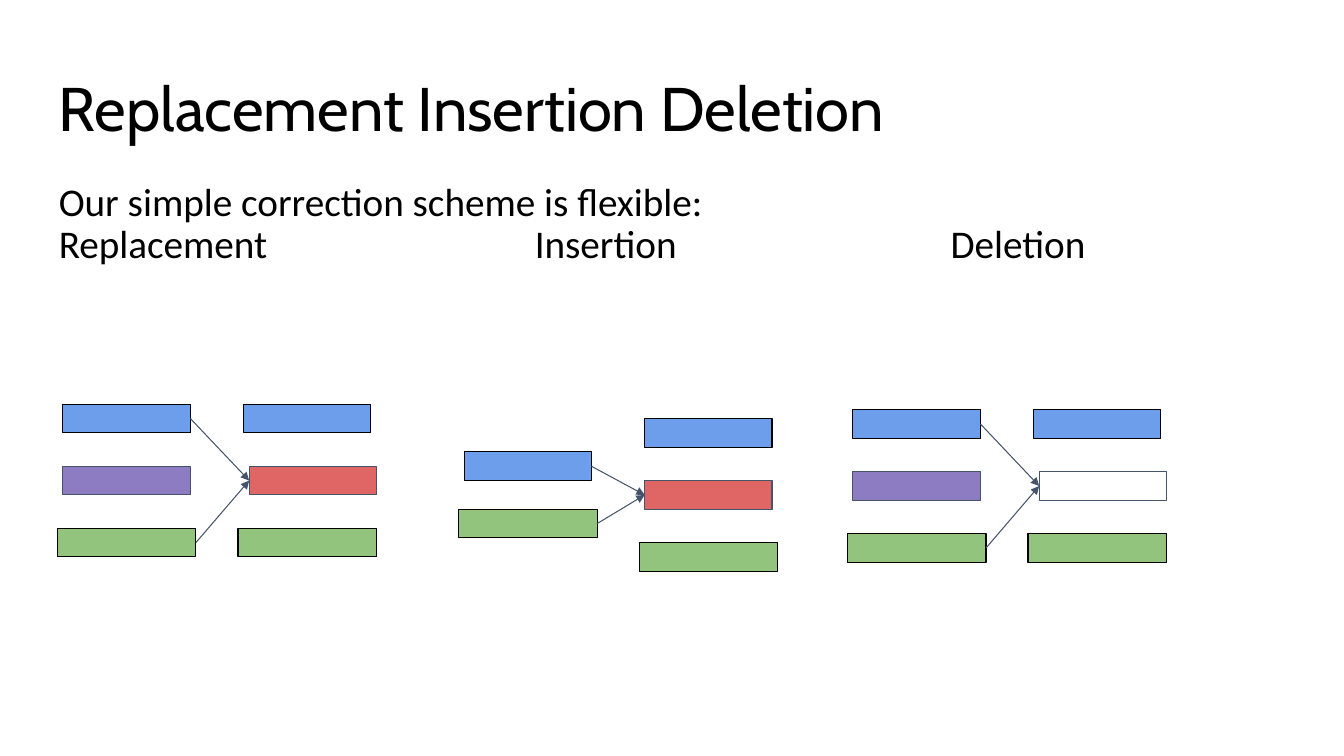
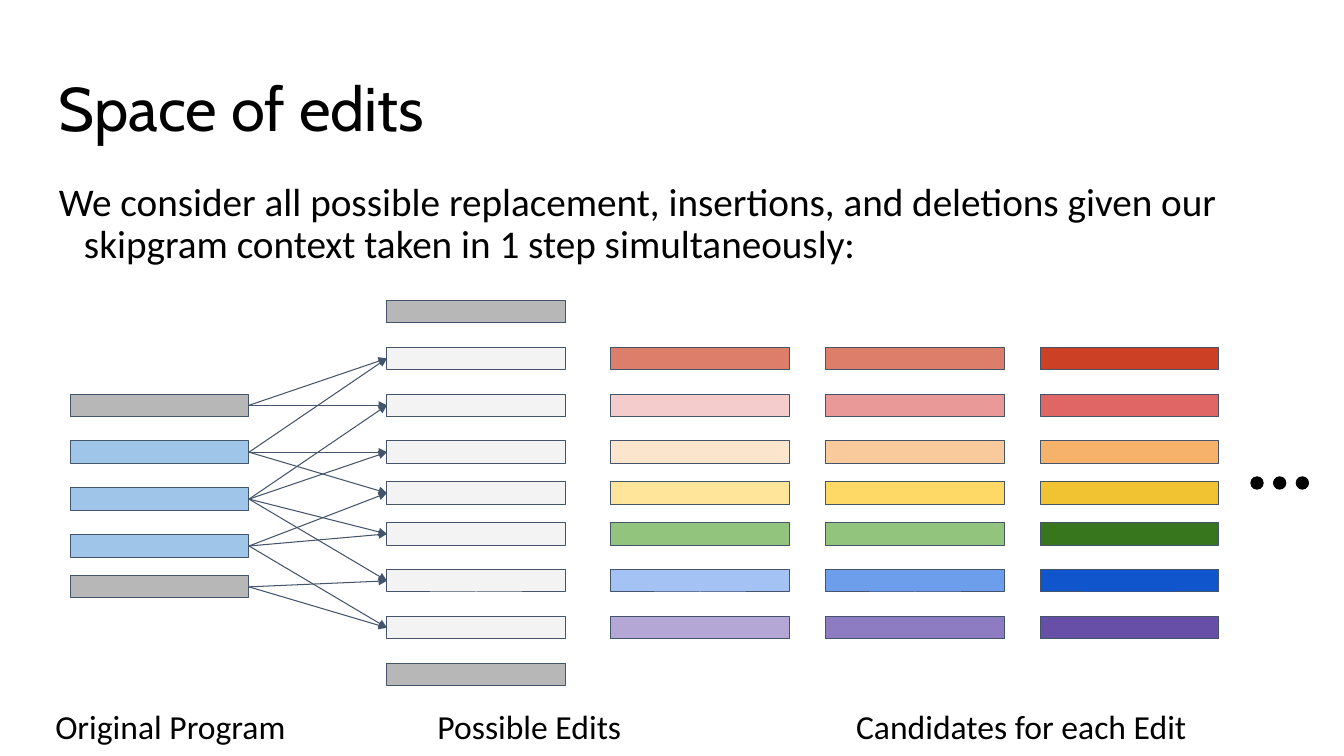
from itertools import accumulate

from lxml import etree
from pptx import Presentation
from pptx.dml.color import RGBColor
from pptx.enum.shapes import MSO_CONNECTOR, MSO_SHAPE
from pptx.enum.text import MSO_ANCHOR
from pptx.oxml.ns import qn
from pptx.util import Pt

RECTANGLE = MSO_SHAPE.RECTANGLE
OVAL = MSO_SHAPE.OVAL
STRAIGHT = MSO_CONNECTOR.STRAIGHT
TOP = MSO_ANCHOR.TOP
LEFT_SIDE, RIGHT_SIDE = 1, 3

BLACK, SLATE = "000000", "44546A"
BLUE, GREEN, RED, PURPLE = "6D9EEB", "93C47D", "E06666", "8E7CC3"
GRAY, PALE_GRAY, SKY = "B7B7B7", "F3F3F3", "9FC5E8"
TITLE_FONT, BODY_FONT = "Cabin", "Calibri"
MARGIN, CONTENT_WIDTH, INSET = 33, 894, 9
HANGING = 18

BLUE_BAR = (BLUE, BLACK, 4, 91)
GREEN_BAR = (GREEN, BLACK, 0, 99)
PURPLE_BAR = (PURPLE, SLATE, 4, 91)
RED_BAR = (RED, SLATE, 4, 91)
RED_BAR_RIGHT = (RED, SLATE, 8, 91)
EMPTY_BAR_RIGHT = (None, SLATE, 8, 91)
EDIT_BAR_HEIGHT, EDIT_BAR_PITCH = 20.5, 44.3
AFTER_OFFSET = 129

SPACE_BAR_WIDTH, SPACE_BAR_HEIGHT = 127.5, 16
WIDE_STEP, NARROW_STEP = 33.5, 29.2
EDIT_STEPS = [WIDE_STEP] * 3 + [NARROW_STEP] * 2 + [WIDE_STEP] * 3
PROGRAM_STEPS = [WIDE_STEP] * 3 + [NARROW_STEP]
EDITS_OFFSET, CANDIDATES_OFFSET, CANDIDATE_PITCH = 226, 386, 153.4
PROGRAM_COLORS = [GRAY, SKY, SKY, SKY, GRAY]
EDIT_COLORS = [GRAY] + [PALE_GRAY] * 7 + [GRAY]
CANDIDATE_COLORS = [
    ["DD7E6B", "F4CCCC", "FCE5CD", "FFE599", GREEN, "A4C2F4", "B4A7D6"],
    ["DD7E6B", "EA9999", "F9CB9C", "FFD966", GREEN, BLUE, PURPLE],
    ["CC4125", RED, "F6B26B", "F1C232", "38761D", "1155CC", "674EA7"],
]


def color(value):
    """Turn a hex string into a colour."""
    return RGBColor.from_string(value)


def add_text(slide, box, lines, font, size, spacing=1.0, hanging=0, tabs=()):
    """Place paragraphs in a box; lines holding tabs use the given stops."""
    shape = slide.shapes.add_textbox(*map(Pt, box))
    frame = shape.text_frame
    frame.word_wrap = True
    frame.vertical_anchor = TOP
    frame.margin_left = frame.margin_right = Pt(INSET)
    frame.margin_top = frame.margin_bottom = Pt(INSET)
    frame.text = "\n".join(lines)
    for paragraph in frame.paragraphs:
        paragraph.line_spacing = spacing
        properties = paragraph._p.get_or_add_pPr()
        if "\t" in paragraph.text:
            stops = etree.SubElement(properties, qn("a:tabLst"))
            for position in tabs:
                etree.SubElement(stops, qn("a:tab"), pos=str(Pt(position)), algn="l")
        elif hanging:
            properties.set("marL", str(Pt(hanging)))
            properties.set("indent", str(-Pt(hanging)))
        for run in paragraph.runs:
            run.font.name = font
            run.font.size = Pt(size)
            run.font.color.rgb = color(BLACK)


def add_block(slide, kind, box, fill, line):
    """Add a thinly outlined shape, unfilled when fill is None."""
    shape = slide.shapes.add_shape(kind, *map(Pt, box))
    shape.shadow.inherit = False
    if fill is None:
        shape.fill.background()
    else:
        shape.fill.solid()
        shape.fill.fore_color.rgb = color(fill)
    shape.line.color.rgb = color(line)
    shape.line.width = Pt(0.75)
    return shape


def add_arrow(slide, source, target):
    """Join the right side of one bar to the left side of another."""
    connector = slide.shapes.add_connector(STRAIGHT, 0, 0, 0, 0)
    connector.begin_connect(source, RIGHT_SIDE)
    connector.end_connect(target, LEFT_SIDE)
    connector.line.color.rgb = color(SLATE)
    connector.line.width = Pt(0.75)
    properties = connector.element.spPr
    etree.SubElement(properties.find(qn("a:ln")), qn("a:tailEnd"), type="triangle")
    etree.SubElement(properties, qn("a:effectLst"))


def add_content_slide(presentation, title, lines, tabs=()):
    """Start a slide with the shared title and body text."""
    slide = presentation.slides.add_slide(presentation.slide_layouts[6])
    add_text(slide, (MARGIN, 47, CONTENT_WIDTH, 60), [title], TITLE_FONT, 44, 0.9)
    add_text(slide, (MARGIN, 121.5, CONTENT_WIDTH, 86), lines, BODY_FONT, 28, 0.9,
             HANGING, tabs)
    return slide


def add_edit_column(slide, left, top, bars, pitch=EDIT_BAR_PITCH):
    """Stack the bars of one program version."""
    return [
        add_block(slide, RECTANGLE,
                  (left + indent, top + row * pitch, width, EDIT_BAR_HEIGHT), fill, line)
        for row, (fill, line, indent, width) in enumerate(bars)
    ]


def add_edit_diagram(slide, left, top, before, after, before_pitch=EDIT_BAR_PITCH):
    """Show a program before and after an edit, with its context arrows."""
    before_top = top + (EDIT_BAR_PITCH * (len(after) - 1)
                        - before_pitch * (len(before) - 1)) / 2
    sources = add_edit_column(slide, left, before_top, before, before_pitch)
    targets = add_edit_column(slide, left + AFTER_OFFSET, top, after)
    for source in (sources[0], sources[-1]):
        add_arrow(slide, source, targets[1])


def add_space_column(slide, left, tops, fills):
    """Stack equal bars at the given heights."""
    return [
        add_block(slide, RECTANGLE, (left, top, SPACE_BAR_WIDTH, SPACE_BAR_HEIGHT),
                  fill, SLATE)
        for top, fill in zip(tops, fills)
    ]


def add_edit_space(slide, left, top):
    """Draw the program, its possible edits and their candidates."""
    edit_tops = list(accumulate(EDIT_STEPS, initial=top))
    program_tops = accumulate(PROGRAM_STEPS, initial=edit_tops[2])
    program = add_space_column(slide, left, program_tops, PROGRAM_COLORS)
    edits = add_space_column(slide, left + EDITS_OFFSET, edit_tops, EDIT_COLORS)
    for index, edit in enumerate(edits[1:-1], start=1):
        add_arrow(slide, program[(index - 1) // 2], edit)
        add_arrow(slide, program[index // 2 + 1], edit)
    for column, fills in enumerate(CANDIDATE_COLORS):
        add_space_column(slide, left + CANDIDATES_OFFSET + column * CANDIDATE_PITCH,
                         edit_tops[1:], fills)


def add_ellipsis(slide, left, top, size=8.8, pitch=16.2):
    """Draw three dots in a row."""
    for index in range(3):
        add_block(slide, OVAL, (left + index * pitch, top, size, size), BLACK, BLACK)


def build_operations_slide(presentation):
    """Compare replacement, insertion and deletion."""
    slide = add_content_slide(
        presentation, "Replacement Insertion Deletion",
        ["Our simple correction scheme is flexible:", "Replacement\tInsertion\tDeletion"],
        (340, 637))
    full = [BLUE_BAR, PURPLE_BAR, GREEN_BAR]
    add_edit_diagram(slide, 41, 288.7, full, [BLUE_BAR, RED_BAR_RIGHT, GREEN_BAR])
    add_edit_diagram(slide, 327.5, 299, [BLUE_BAR, GREEN_BAR],
                     [BLUE_BAR, RED_BAR, GREEN_BAR], 41)
    add_edit_diagram(slide, 605.3, 292.6, full, [BLUE_BAR, EMPTY_BAR_RIGHT, GREEN_BAR])


def build_space_slide(presentation):
    """Show every edit reachable in one step."""
    slide = add_content_slide(
        presentation, "Space of edits",
        ["We consider all possible replacement, insertions, and deletions given our "
         "skipgram context taken in 1 step simultaneously:"])
    add_edit_space(slide, 50.4, 214.5)
    add_text(slide, (30.5, 495, 850, 21),
             ["Original Program\tPossible Edits\tCandidates for each Edit"],
             BODY_FONT, 24, tabs=(273, 572))
    add_ellipsis(slide, 893.5, 340.6)


def main():
    """Build and save the presentation."""
    presentation = Presentation()
    presentation.slide_width = Pt(960)
    presentation.slide_height = Pt(540)
    build_operations_slide(presentation)
    build_space_slide(presentation)
    presentation.save("out.pptx")


if __name__ == "__main__":
    main()
